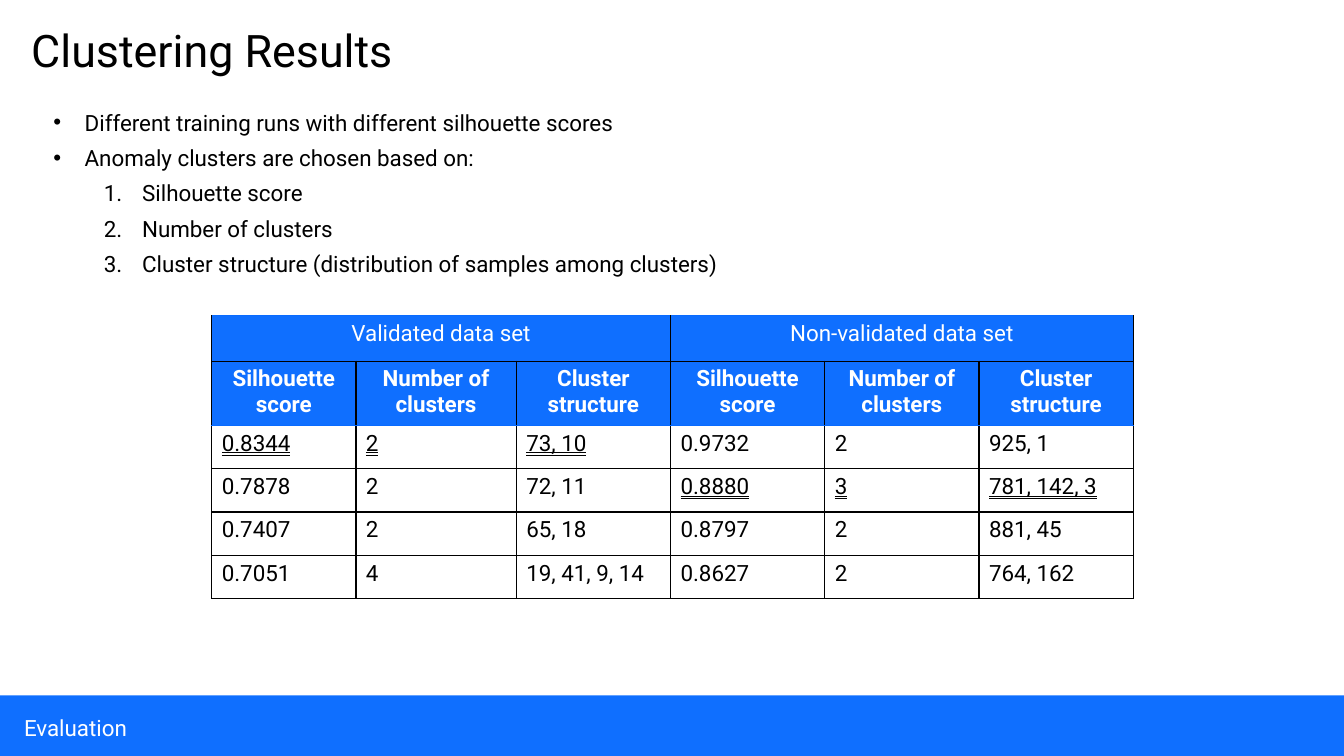
from dataclasses import dataclass

from pptx import Presentation
from pptx import util as u
from pptx.dml.color import RGBColor
from pptx.enum import shapes, text
from pptx.oxml import xmlchemy as xc
from pptx.oxml.ns import qn
from lxml import etree

SCALE = 9144  # EMU per px, 100 px to the inch
FONT = "Roboto"
HUES = {"blue": "0F6FFF", "edge": "096BFF", "black": "000000", "white": "FFFFFF"}


@dataclass
class Box:
    left: int
    top: int
    width: int
    height: int

    def emu(self) -> list[u.Emu]:
        return [px(n) for n in (self.left, self.top, self.width, self.height)]


@dataclass
class Point:
    words: str
    level: int = 0


@dataclass
class Edge:
    side: str
    hue: str
    size: float


def px(n: int) -> u.Emu:
    return u.Emu(n * SCALE)


def rgb(hue: str) -> RGBColor:
    return RGBColor.from_string(HUES[hue])


def place(shape, box: Box) -> None:
    shape.left, shape.top, shape.width, shape.height = box.emu()


def style(para, size: int = 16, hue: str = "black", bold: bool = False) -> None:
    for run in para.runs:
        run.font.name = FONT
        run.font.size = u.Pt(size)
        run.font.bold = bold
        run.font.color.rgb = rgb(hue)


def mark(para, point: Point) -> None:
    """Give a list line its indent and its bullet or number."""
    props = para._p.get_or_add_pPr()
    left, hang = (88, 38) if point.level else (31, 31)
    props.set("marL", str(px(left)))
    props.set("indent", str(px(-hang)))
    if point.level:
        etree.SubElement(props, qn("a:buFont"), typeface="+mj-lt")
        etree.SubElement(props, qn("a:buAutoNum"), type="arabicPeriod")
    else:
        etree.SubElement(props, qn("a:buFont"), typeface="Arial")
        etree.SubElement(props, qn("a:buChar"), char="•")


def rule(cell, edge: Edge) -> None:
    props = cell._tc.get_or_add_tcPr()
    line = etree.SubElement(props, qn("a:ln" + edge.side), w=str(u.Pt(edge.size)))
    fill = etree.SubElement(line, qn("a:solidFill"))
    etree.SubElement(fill, qn("a:srgbClr"), val=HUES[edge.hue])


def edges(row: int, col: int) -> list[Edge]:
    """Thin lines outside and under the top row, blue ones around the head."""
    thin = Edge("", "black", 0.5)
    full = Edge("", "black", 1)
    blue = Edge("", "edge", 0.75)
    across = [blue, thin, blue, full, full, full, full]
    picks = {
        "L": thin if row == 0 or col == 0 else full,
        "R": thin if row == 0 or col == len(COLS) - 1 else full,
        "T": across[row],
        "B": across[row + 1],
    }
    return [Edge(side, pick.hue, pick.size) for side, pick in picks.items()]


POINTS = [
    Point("Different training runs with different silhouette scores"),
    Point("Anomaly clusters are chosen based on:"),
    Point("Silhouette score", 1),
    Point("Number of clusters", 1),
    Point("Cluster structure (distribution of samples among clusters)", 1),
]
COLS = [143, 159] + [153] * 4
ROWS = [45, 64] + [43] * 4
SPAN = 3
HEADS = ["Silhouette score", "Number of clusters", "Cluster structure"]
GRID = [
    ["Validated data set", "", "", "Non-validated data set", "", ""],
    HEADS * 2,
    ["0.8344", "2", "73, 10", "0.9732", "2", "925, 1"],
    ["0.7878", "2", "72, 11", "0.8880", "3", "781, 142, 3"],
    ["0.7407", "2", "65, 18", "0.8797", "2", "881, 45"],
    ["0.7051", "4", "19, 41, 9, 14", "0.8627", "2", "764, 162"],
]
BEST = {(2, 0), (3, 1)}  # row and half of the chosen runs


def draw_title(slide) -> None:
    title = slide.shapes.title
    place(title, Box(31, 29, 493, 60))
    frame = title.text_frame
    frame.text = "Clustering Results"
    frame.auto_size = text.MSO_AUTO_SIZE.NONE
    frame.vertical_anchor = text.MSO_ANCHOR.TOP
    frame.margin_left = frame.margin_right = frame.margin_top = frame.margin_bottom = 0
    para = frame.paragraphs[0]
    para.alignment = text.PP_ALIGN.LEFT
    para.line_spacing = 0.9
    style(para, 32)


def draw_list(slide) -> None:
    body = slide.placeholders[1]
    place(body, Box(43, 103, 703, 178))
    frame = body.text_frame
    frame.text = "\n".join(point.words for point in POINTS)
    frame.auto_size = text.MSO_AUTO_SIZE.SHAPE_TO_FIT_TEXT
    for i, (para, point) in enumerate(zip(frame.paragraphs, POINTS)):
        para.level = point.level
        mark(para, point)
        para.space_before = u.Pt(6 if i else 0)
        style(para)


def draw_table(slide) -> None:
    box = Box(210, 313, sum(COLS), sum(ROWS))
    table = slide.shapes.add_table(len(ROWS), len(COLS), *box.emu()).table
    for col, width in zip(table.columns, COLS):
        col.width = px(width)
    for row, height in zip(table.rows, ROWS):
        row.height = px(height)
    for r, line in enumerate(GRID):
        for c, words in enumerate(line):
            cell = table.cell(r, c)
            head = r < 2
            for edge in edges(r, c):
                rule(cell, edge)
            if head:
                cell.fill.solid()
                cell.fill.fore_color.rgb = rgb("blue")
            else:
                cell.fill.background()
            cell.text_frame.text = words
            para = cell.text_frame.paragraphs[0]
            para.alignment = text.PP_ALIGN.CENTER if head else text.PP_ALIGN.LEFT
            style(para, hue="white" if head else "black", bold=r == 1)
            if (r, c // SPAN) in BEST:
                para.runs[0].font.underline = text.MSO_UNDERLINE.DOUBLE_LINE
    for c in range(0, len(COLS), SPAN):
        table.cell(0, c).merge(table.cell(0, c + SPAN - 1))


def draw_foot(slide) -> None:
    bar = slide.shapes.add_shape(
        shapes.MSO_SHAPE.RECTANGLE, *Box(0, 690, 1333, 60).emu())
    bar.shadow.inherit = False
    bar.fill.solid()
    bar.fill.fore_color.rgb = rgb("blue")
    bar.line.fill.background()
    label = slide.shapes.add_textbox(*Box(14, 704, 316, 37).emu())
    label.text_frame.word_wrap = True
    label.text_frame.text = "Evaluation"
    style(label.text_frame.paragraphs[0], hue="white")


def main() -> None:
    deck = Presentation()
    deck.slide_width, deck.slide_height = px(1333), px(750)
    slide = deck.slides.add_slide(deck.slide_layouts[1])
    draw_title(slide)
    draw_list(slide)
    draw_table(slide)
    draw_foot(slide)
    deck.save("out.pptx")


if __name__ == "__main__":
    main()
